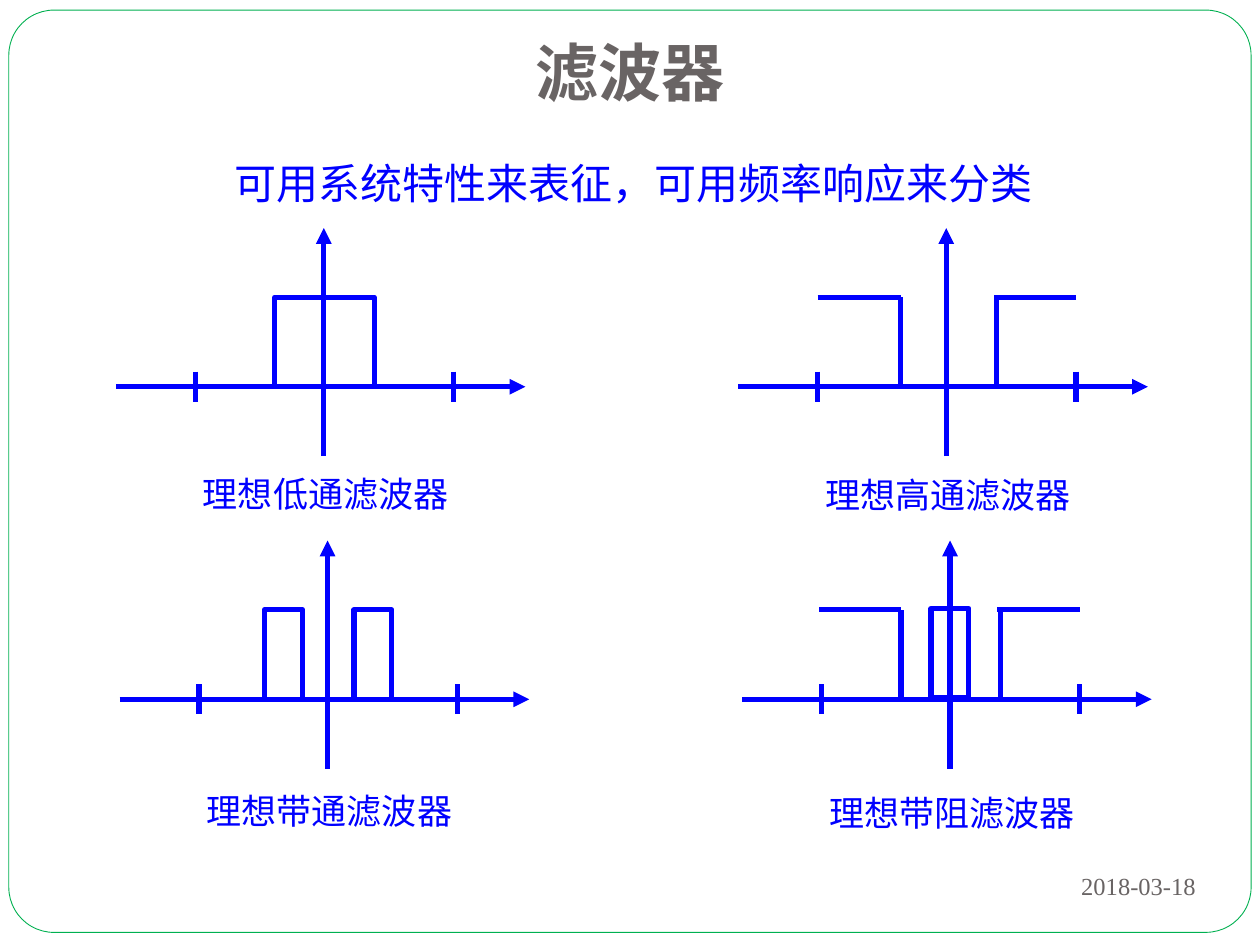
from dataclasses import dataclass

from pptx import Presentation
from pptx.dml.color import RGBColor
from pptx.enum.shapes import MSO_CONNECTOR as Connector, MSO_SHAPE as Preset
from pptx.enum.text import MSO_ANCHOR as Anchor, MSO_AUTO_SIZE as AutoSize, PP_ALIGN as Align
from pptx.oxml.ns import qn
from pptx.shapes.base import BaseShape
from pptx.slide import Slide
from pptx.util import Inches, Pt


@dataclass(frozen=True)
class TextStyle:
    size: int
    font: str
    color: RGBColor
    bold: bool = False
    align: Align = Align.CENTER


@dataclass(frozen=True)
class Theme:
    ink = RGBColor(0x00, 0x00, 0xFF)
    border = RGBColor(0x00, 0xB0, 0x50)
    paper = RGBColor(0xFF, 0xFF, 0xFF)
    gray = RGBColor(0x69, 0x64, 0x64)
    stroke = Pt(3)
    cjk_font = "Noto Sans CJK SC"
    title = TextStyle(36, "Cabin", gray, bold=True)
    subtitle = TextStyle(24, cjk_font, ink)
    caption = TextStyle(20, cjk_font, ink)
    date = TextStyle(14, "Times New Roman", gray, align=Align.RIGHT)


THEME = Theme()
BAND_HEIGHT = 0.71
TICK_OFFSETS = (-1.02, 1.03)
TICK_REACH = 0.12


@dataclass(frozen=True)
class Band:
    """A closed passband; left is measured from the vertical axis."""
    left: float
    width: float
    lift: float = 0


@dataclass(frozen=True)
class Step:
    """An open passband: an edge at one frequency and a plateau out to another."""
    edge: float
    inner: float
    outer: float


@dataclass(frozen=True)
class FilterPlot:
    caption: str
    x: float
    y: float
    caption_drop: float
    bands: tuple[Band, ...] = ()
    steps: tuple[Step, ...] = ()


PLOTS = (
    FilterPlot("理想低通滤波器", 2.57, 3.07, 0.63, bands=(Band(-0.39, 0.79),)),
    FilterPlot("理想高通滤波器", 7.51, 3.07, 0.64,
               steps=(Step(-0.36, -0.36, -1.02), Step(0.4, 0.38, 1.03))),
    FilterPlot("理想带通滤波器", 2.6, 5.55, 0.67,
               bands=(Band(-0.5, 0.3), Band(0.21, 0.3))),
    FilterPlot("理想带阻滤波器", 7.54, 5.55, 0.68,
               bands=(Band(-0.15, 0.3, lift=0.01),),
               steps=(Step(-0.39, -0.39, -1.04), Step(0.4, 0.37, 1.03))),
)


def write(shape: BaseShape, text: str, style: TextStyle, wrap: bool = False) -> None:
    frame = shape.text_frame
    frame.text = text
    frame.word_wrap = wrap
    frame.auto_size = AutoSize.NONE if wrap else AutoSize.SHAPE_TO_FIT_TEXT
    paragraph = frame.paragraphs[0]
    paragraph.alignment = style.align
    for run in paragraph.runs:
        font = run.font
        font.size = Pt(style.size)
        font.name = style.font
        font.bold = style.bold
        font.color.rgb = style.color
        east_asian = run._r.get_or_add_rPr().makeelement(
            qn("a:ea"), {"typeface": THEME.cjk_font})
        font._rPr.find(qn("a:latin")).addnext(east_asian)


def add_label(slide: Slide, left: float, top: float, width: float, height: float,
              text: str, style: TextStyle, wrap: bool = False) -> BaseShape:
    label = slide.shapes.add_textbox(*map(Inches, (left, top, width, height)))
    write(label, text, style, wrap)
    return label


def add_line(slide: Slide, x1: float, y1: float, x2: float, y2: float,
             arrow: bool = False) -> None:
    connector = slide.shapes.add_connector(
        Connector.STRAIGHT, *map(Inches, (x1, y1, x2, y2)))
    connector.line.color.rgb = THEME.ink
    connector.line.width = THEME.stroke
    properties = connector._element.spPr
    if arrow:
        outline = connector.line._get_or_add_ln()
        outline.append(outline.makeelement(qn("a:tailEnd"), {"type": "triangle"}))
    properties.append(properties.makeelement(qn("a:effectLst"), {}))


def add_band(slide: Slide, plot: FilterPlot, band: Band) -> None:
    box = slide.shapes.add_shape(
        Preset.RECTANGLE, Inches(plot.x + band.left),
        Inches(plot.y - BAND_HEIGHT - band.lift), Inches(band.width), Inches(BAND_HEIGHT))
    box.shadow.inherit = False
    box.fill.background()
    box.line.color.rgb = THEME.ink
    box.line.width = THEME.stroke


def add_plot(slide: Slide, plot: FilterPlot) -> None:
    x, y = plot.x, plot.y
    add_line(slide, x - 1.65, y, x + 1.6, y, arrow=True)
    add_line(slide, x, y + 0.55, x, y - 1.26, arrow=True)
    for offset in TICK_OFFSETS:
        add_line(slide, x + offset, y - TICK_REACH, x + offset, y + TICK_REACH)
    for band in plot.bands:
        add_band(slide, plot, band)
    top = y - BAND_HEIGHT
    for step in plot.steps:
        add_line(slide, x + step.edge, y, x + step.edge, top)
        add_line(slide, x + step.outer, top, x + step.inner, top)
    add_label(slide, x - 1.07, y + plot.caption_drop, 2.17, 0.44,
              plot.caption, THEME.caption)


def add_border(slide: Slide) -> None:
    """Draw the rounded slide border behind everything else."""
    border = slide.shapes.add_shape(
        Preset.ROUNDED_RECTANGLE, *map(Inches, (0.07, 0.08, 9.86, 7.32)))
    border.adjustments[0] = 0.049
    border.shadow.inherit = False
    border.fill.solid()
    border.fill.fore_color.rgb = THEME.paper
    border.line.color.rgb = THEME.border
    border.line.width = Pt(0.5)
    slide.shapes._spTree.insert(2, border._element)


def main() -> None:
    deck = Presentation()
    deck.slide_width, deck.slide_height = Inches(10), Inches(7.5)
    slide = deck.slides.add_slide(deck.slide_layouts.get_by_name("Title Only"))
    add_border(slide)

    title = slide.shapes.title
    title.left, title.top, title.width, title.height = map(
        Inches, (4.14, 0.21, 1.72, 0.71))
    write(title, "滤波器", THEME.title)

    add_label(slide, 1.71, 1.2, 6.63, 0.5,
              "可用系统特性来表征，可用频率响应来分类", THEME.subtitle)
    for plot in PLOTS:
        add_plot(slide, plot)
    date = add_label(slide, 8.06, 6.77, 1.53, 0.52, "2018-03-18", THEME.date, wrap=True)
    date.text_frame.vertical_anchor = Anchor.MIDDLE
    deck.save("out.pptx")


if __name__ == "__main__":
    main()
